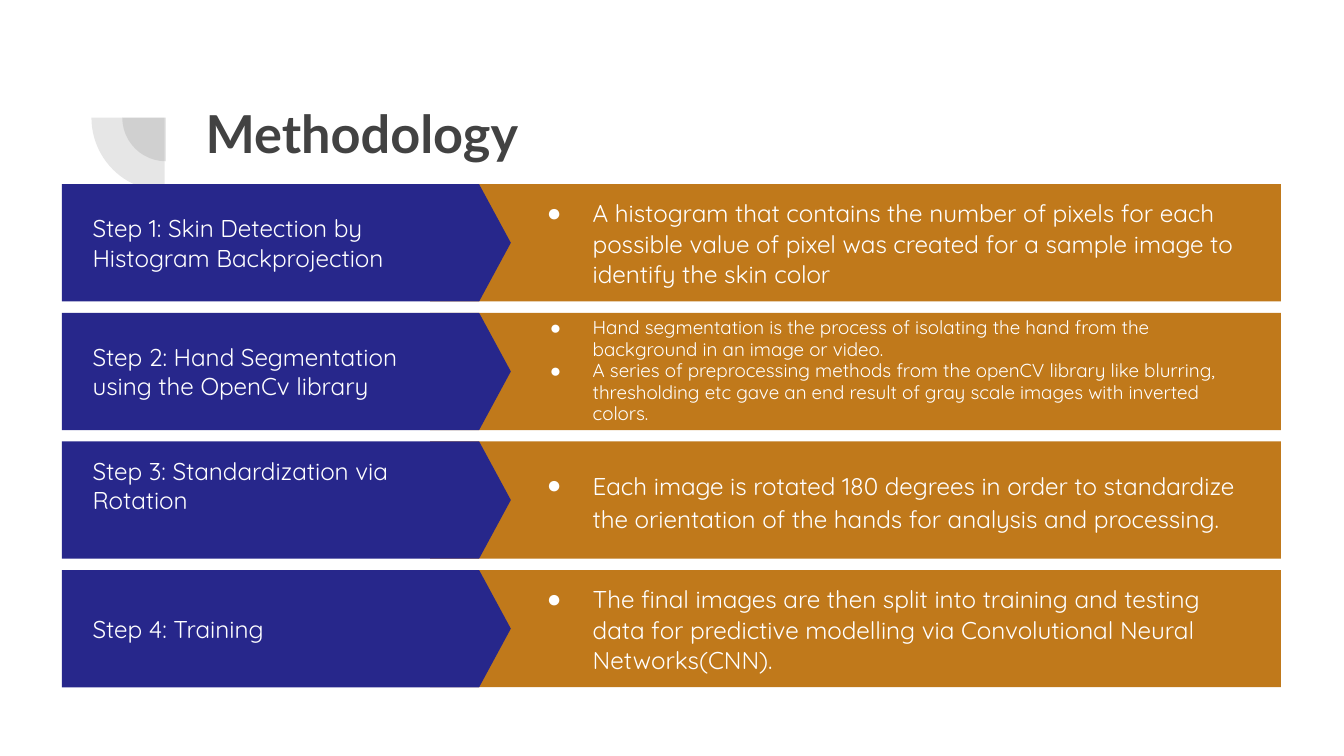
import pptx
import pptx.util
import pptx.dml.color
import pptx.enum.shapes
import pptx.enum.text
import lxml.etree
from pptx.oxml.ns import qn

Pt = pptx.util.Pt
RGB = pptx.dml.color.RGBColor
Kind = pptx.enum.shapes.MSO_SHAPE
Anchor = pptx.enum.text.MSO_ANCHOR
Align = pptx.enum.text.PP_ALIGN
Fit = pptx.enum.text.MSO_AUTO_SIZE

GREY = RGB(0x42, 0x42, 0x42)
NAVY = RGB(0x27, 0x27, 0x8B)
OCHRE = RGB(0xC0, 0x79, 0x1B)
WHITE = RGB(0xFF, 0xFF, 0xFF)

TOP, STEP, HIGH, PAD = 98.7, 68.9, 62.8, 7.2

STEPS = [
    ("Step 1: Skin Detection by Histogram Backprojection", 0, 13, 1.05, 24.5,
     ["A histogram that contains the number of pixels for each possible value "
      "of pixel was created for a sample image to identify the skin color"]),
    ("Step 2: Hand Segmentation using the OpenCv library", 0, 10.1, 0.95, 23,
     ["Hand segmentation is the process of isolating the hand from the "
      "background in an image or video.",
      "A series of preprocessing methods from the openCV library like blurring, "
      "thresholding etc gave an end result of gray scale images with inverted "
      "colors."]),
    ("Step 3: Standardization via Rotation", 15.6, 13, 1.15, 24.5,
     ["Each image is rotated 180 degrees in order to standardize the "
      "orientation of the hands for analysis and processing."]),
    ("Step 4: Training", 0, 13, 1.05, 24.5,
     ["The final images are then split into training and testing data for "
      "predictive modelling via Convolutional Neural Networks(CNN)."]),
]


class Deck:
    head = "Lato"
    font = "Quicksand"

    def __init__(self, slide):
        self.slide = slide

    def shape(self, kind, box, fill, adjust=()):
        shape = self.slide.shapes.add_shape(kind, *map(Pt, box))
        shape.shadow.inherit = False
        shape.fill.solid()
        shape.fill.fore_color.rgb = fill
        shape.line.fill.background()
        for i, value in enumerate(adjust):
            shape.adjustments[i] = value
        return shape

    def pie(self, box):
        pie = self.shape(Kind.PIE, box, GREY, (108, 162))
        pie.rotation = 270
        color = pie._element.spPr.find(".//" + qn("a:srgbClr"))
        lxml.etree.SubElement(color, qn("a:alpha"), val="13000")

    def place(self, holder, box):
        holder.left, holder.top, holder.width, holder.height = map(Pt, box)
        self.slide.shapes._spTree.append(holder._element)

    def frame(self, shape, text, anchor, extra=0):
        frame = shape.text_frame
        frame.text = text
        frame.word_wrap = True
        frame.auto_size = Fit.NONE
        frame.vertical_anchor = anchor
        frame.margin_left = frame.margin_right = frame.margin_top = Pt(PAD)
        frame.margin_bottom = Pt(PAD + extra)
        return frame

    def style(self, part, size, color, name, bold=False):
        part.alignment = Align.LEFT
        part.space_before = Pt(0)
        for run in part.runs:
            font = run.font
            font.name, font.size, font.bold = name, Pt(size), bold
            font.color.rgb = color

    def title(self, text, box):
        holder = self.slide.shapes.title
        self.place(holder, box)
        frame = self.frame(holder, text, Anchor.TOP)
        self.style(frame.paragraphs[0], 28, GREY, self.head, True)

    def label(self, text, box, extra):
        label = self.slide.shapes.add_textbox(*map(Pt, box))
        frame = self.frame(label, text, Anchor.MIDDLE, extra)
        self.style(frame.paragraphs[0], 13, WHITE, self.font)

    def list(self, holder, items, box, size, space, hang):
        self.place(holder, box)
        frame = self.frame(holder, "\n".join(items), Anchor.MIDDLE)
        for part in frame.paragraphs:
            props = part._p.get_or_add_pPr()
            props.set("marL", str(Pt(36)))
            props.set("indent", str(-Pt(hang)))
            tint = lxml.etree.SubElement(props, qn("a:buClr"))
            lxml.etree.SubElement(tint, qn("a:srgbClr"), val=str(WHITE))
            lxml.etree.SubElement(props, qn("a:buChar"), char="●")
            part.line_spacing = space
            self.style(part, size, WHITE, self.font)


def main():
    show = pptx.Presentation()
    show.slide_width, show.slide_height = Pt(720), Pt(405)
    slide = show.slides.add_slide(show.slide_layouts.get_by_name("Comparison"))
    deck = Deck(slide)
    bodies = list(slide.placeholders)[1:]

    deck.pie((65.5, 39.6, 46.8, 46.8))
    deck.pie((49, 23.8, 78.5, 78.5))
    deck.title("Methodology", (103, 46.8, 553.7, 78.5))

    for i, (name, extra, size, space, hang, items) in enumerate(STEPS):
        top = TOP + i * STEP
        deck.shape(Kind.RECTANGLE, (230.4, top, 455.8, HIGH), OCHRE)
        deck.shape(Kind.PENTAGON, (33.2, top, 240.5, HIGH), NAVY, (0.27,))
        deck.label(name, (42.5, top, 190.8, HIGH), extra)
        deck.list(bodies[i], items, (274.3, top, 402.5, HIGH), size, space, hang)

    show.save("out.pptx")


if __name__ == "__main__":
    main()
